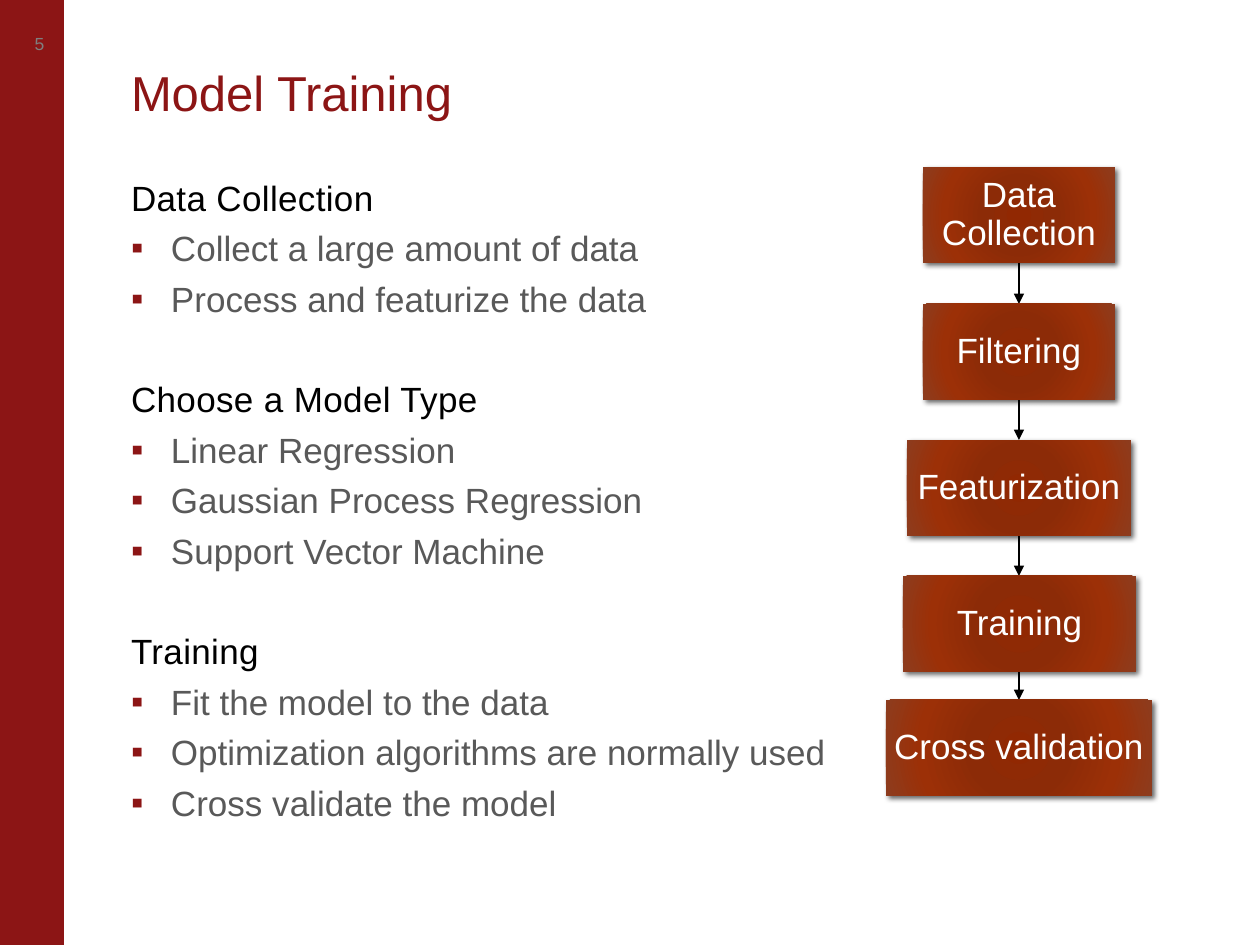
"""Build the Model Training slide: a bulleted outline beside a flow of steps."""
import dataclasses
import typing

import lxml.etree
import pptx
import pptx.dml.color
import pptx.enum.shapes
import pptx.enum.text
import pptx.oxml
import pptx.oxml.ns
import pptx.util

EMU_PER_PX = 914400 / 126
FONT = "Arial"
RED, BLACK, GREY, WHITE = "8C1515", "000000", "595959", "FFFFFF"
STEP_STOPS = ((0, "912802"), (34, "8C2B07"), (70, "9C3007"), (100, "8D3C1E"))
FLOW_CENTER, STEP_HEIGHT = 1019, 96
ALIGN = pptx.enum.text.PP_ALIGN
ANCHOR = pptx.enum.text.MSO_ANCHOR


@dataclasses.dataclass(frozen=True)
class Step:
    label: str
    top: int
    width: int


@dataclasses.dataclass(frozen=True)
class Section:
    heading: str
    points: tuple[str, ...]


STEPS = (
    Step("Data Collection", 167, 192),
    Step("Filtering", 304, 192),
    Step("Featurization", 440, 224),
    Step("Training", 576, 233),
    Step("Cross validation", 700, 266),
)
SECTIONS = (
    Section("Data Collection", (
        "Collect a large amount of data", "Process and featurize the data")),
    Section("Choose a Model Type", (
        "Linear Regression", "Gaussian Process Regression", "Support Vector Machine")),
    Section("Training", (
        "Fit the model to the data", "Optimization algorithms are normally used",
        "Cross validate the model")),
)


def px(n: int) -> pptx.util.Emu:
    return pptx.util.Emu(round(n * EMU_PER_PX))


def rgb(color: str) -> pptx.dml.color.RGBColor:
    return pptx.dml.color.RGBColor.from_string(color)


def place(sp: typing.Any, left: int, top: int, width: int, height: int) -> None:
    sp.left, sp.top, sp.width, sp.height = map(px, (left, top, width, height))


def sub(parent: typing.Any, tag: str, **attrs: typing.Any) -> typing.Any:
    values = {k: str(v) for k, v in attrs.items()}
    return lxml.etree.SubElement(parent, pptx.oxml.ns.qn(tag), values)


def setup_frame(tf: typing.Any, margins: tuple[int, int, int, int],
                anchor: typing.Any = ANCHOR.TOP, wrap: bool = True) -> None:
    tf.margin_left, tf.margin_top, tf.margin_right, tf.margin_bottom = map(px, margins)
    tf.vertical_anchor = anchor
    tf.auto_size = pptx.enum.text.MSO_AUTO_SIZE.NONE
    tf.word_wrap = wrap


def write(p: typing.Any, text: str, *, size: int = 20, color: str = BLACK,
          align: typing.Any = ALIGN.LEFT, line: float = 1.0, before: int = 0,
          spacing: int = 0) -> None:
    p.alignment, p.line_spacing = align, line
    p.space_before, p.space_after = pptx.util.Pt(before), pptx.util.Pt(0)
    r = p.add_run()
    r.text = text
    r.font.name, r.font.size = FONT, pptx.util.Pt(size)
    r.font.color.rgb = rgb(color)
    if spacing:
        r._r.get_or_add_rPr().set("spc", str(spacing))


def set_bullet(p: typing.Any, char: str = "", indent: int = 0) -> None:
    pPr = p._p.get_or_add_pPr()
    pPr.set("marL", str(px(indent)))
    pPr.set("indent", str(px(-indent)))
    if char:
        sub(sub(pPr, "a:buClr"), "a:srgbClr", val=RED)
        sub(pPr, "a:buFont", typeface=FONT)
        sub(pPr, "a:buChar", char=char)
    else:
        sub(pPr, "a:buNone")


def add_outline(tf: typing.Any, sections: tuple[Section, ...]) -> None:
    for i, section in enumerate(sections):
        p = tf.add_paragraph() if i else tf.paragraphs[0]
        set_bullet(p)
        write(p, section.heading, before=33 if i else 0, spacing=20)
        for point in section.points:
            p = tf.add_paragraph()
            p.level = 1
            set_bullet(p, "▪", 40)
            write(p, point, color=GREY, before=5)


def add_rect(s: typing.Any, left: int, top: int, width: int, height: int) -> typing.Any:
    sp = s.shapes.add_shape(pptx.enum.shapes.MSO_SHAPE.RECTANGLE, 0, 0, 0, 0)
    place(sp, left, top, width, height)
    sp.shadow.inherit = False
    return sp


def add_step(s: typing.Any, step: Step) -> None:
    sp = add_rect(s, FLOW_CENTER - step.width // 2, step.top, step.width, STEP_HEIGHT)
    sp.line.fill.background()
    sp.fill.gradient()
    spPr = sp._element.spPr
    grad = spPr.find(pptx.oxml.ns.qn("a:gradFill"))
    for child in list(grad):
        grad.remove(child)
    stops = sub(grad, "a:gsLst")
    for pos, color in STEP_STOPS:
        sub(sub(stops, "a:gs", pos=pos * 1000), "a:srgbClr", val=color)
    full = dict.fromkeys("ltrb", 100000)
    sub(sub(grad, "a:path", path="circle"), "a:fillToRect", **full)
    shadow = sub(spPr.find(pptx.oxml.ns.qn("a:effectLst")), "a:outerShdw",
                 blurRad=pptx.util.Pt(3), dist=pptx.util.Pt(2), dir=45 * 60000,
                 rotWithShape=0)
    sub(sub(shadow, "a:srgbClr", val=BLACK), "a:alpha", val=60000)
    setup_frame(sp.text_frame, (1, 1, 1, 1), ANCHOR.MIDDLE)
    write(sp.text_frame.paragraphs[0], step.label, color=WHITE, align=ALIGN.CENTER, line=0.9)


def add_arrow(s: typing.Any, x: int, top: int, bottom: int) -> None:
    line = s.shapes.add_connector(
        pptx.enum.shapes.MSO_CONNECTOR.STRAIGHT, px(x), px(top), px(x), px(bottom))
    line.line.color.rgb = rgb(BLACK)
    line.line.width = pptx.util.Pt(0.75)
    sub(line.line._get_or_add_ln(), "a:tailEnd", type="triangle")
    sub(line._element.spPr, "a:effectLst")


def main() -> None:
    prs = pptx.Presentation()
    prs.slide_width, prs.slide_height = px(1260), px(945)
    s = prs.slides.add_slide(prs.slide_layouts[1])

    title, body = s.placeholders
    place(title, 131, 66, 1062, 89)
    setup_frame(title.text_frame, (0, 6, 13, 6))
    write(title.text_frame.paragraphs[0], "Model Training", size=28, color=RED, line=0.85)
    place(body, 131, 170, 731, 686)
    setup_frame(body.text_frame, (0, 6, 0, 6))
    add_outline(body.text_frame, SECTIONS)

    bar = add_rect(s, 0, 0, 63, 946)
    bar.fill.solid()
    bar.fill.fore_color.rgb = bar.line.color.rgb = rgb(RED)
    bar.line.width = pptx.util.Pt(0.75)
    number = s.shapes.add_textbox(px(8), px(1), px(63), px(85))
    setup_frame(number.text_frame, (6, 0, 6, 0), ANCHOR.MIDDLE, wrap=False)
    write(number.text_frame.paragraphs[0], "5", size=10, color="7F7F7F", align=ALIGN.CENTER)

    for step, following in zip(STEPS, STEPS[1:]):
        add_arrow(s, FLOW_CENTER, step.top + STEP_HEIGHT, following.top)
    for step in STEPS:
        add_step(s, step)
    prs.save("out.pptx")


if __name__ == "__main__":
    main()
